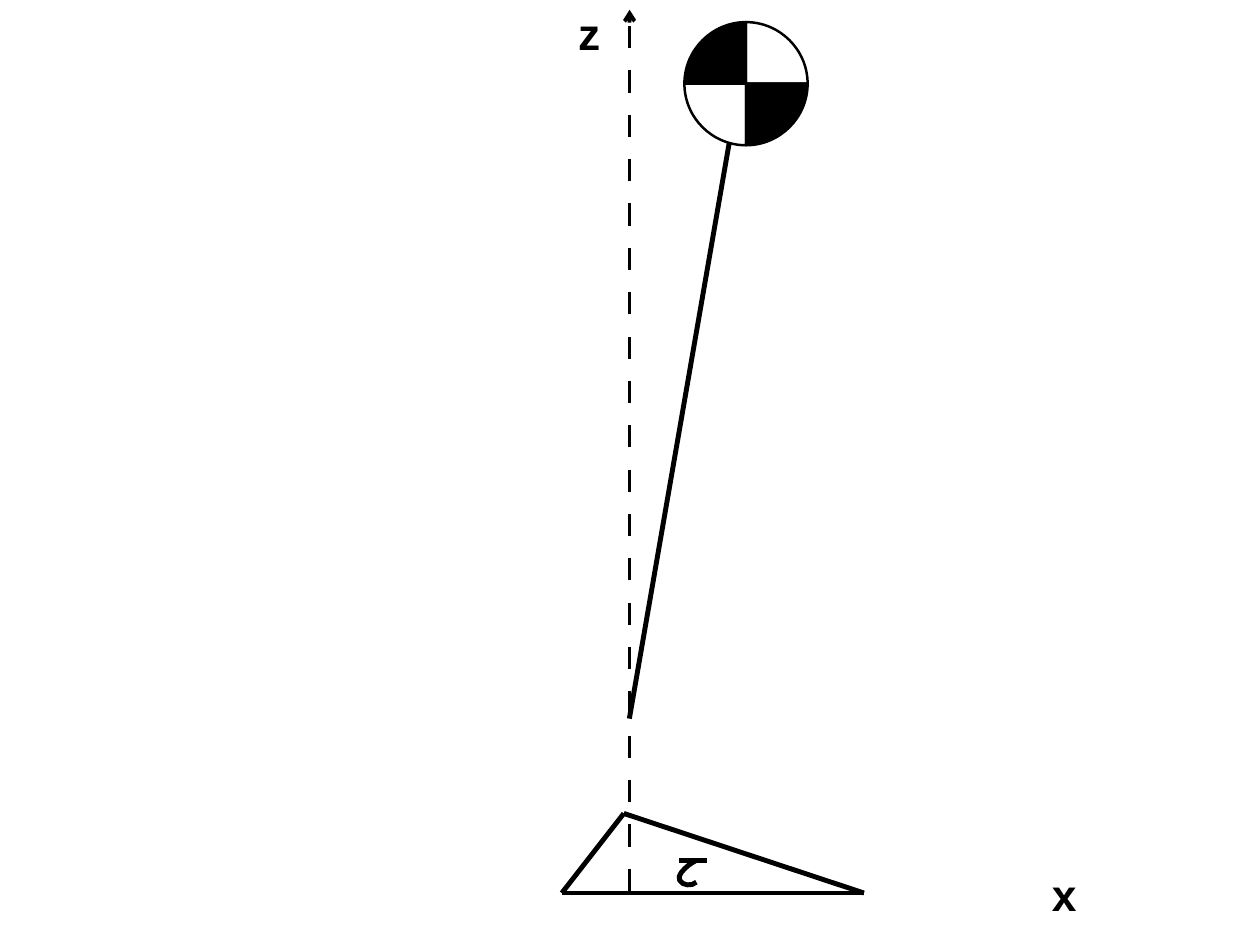
from itertools import pairwise

from lxml.etree import SubElement
from pptx import Presentation
from pptx.dml.color import RGBColor
from pptx.enum.shapes import MSO_CONNECTOR
from pptx.enum.text import MSO_ANCHOR, MSO_AUTO_SIZE, PP_ALIGN
from pptx.oxml.ns import qn
from pptx.util import Inches, Pt

WIDTH, HEIGHT = Inches(14.22), Inches(10.67)
COLOURS = {"ink": "000000"}
WEIGHTS = {"mass": 2, "axis": 3, "body": 4}

AXIS = [(49.97, 94.28), (49.97, 1.03)]
LEG = [(49.95, 76.05), (57.88, 15.09)]
FOOT = [(49.51, 86.08), (44.59, 94.5), (68.57, 94.5), (49.51, 86.08)]
TAU_BAR = [(53.87, 91.04), (56.12, 91.04)]
TAU_HOOK = [
    (55.27, 91.04),
    (54.78, 91.38), (54.43, 91.75), (54.08, 92.31),
    (53.94, 92.6), (53.8, 92.88), (53.94, 93.16),
    (54.15, 93.72), (54.92, 93.81), (55.27, 93.35),
]
MASS = {"centre": (59.21, 8.86), "radius": 4.89}
QUADRANTS = [
    ((1, 0), (0, -1), False),
    ((0, -1), (-1, 0), True),
    ((-1, 0), (0, 1), False),
    ((0, 1), (1, 0), True),
]
ARC_PULL = 0.55
LABELS = [("x", (84.46, 94.61)), ("z", (46.77, 3.51))]
LABEL_SIZE = (2.8, 6.65)
LABEL_FRAME = {
    "word_wrap": False,
    "auto_size": MSO_AUTO_SIZE.SHAPE_TO_FIT_TEXT,
    "vertical_anchor": MSO_ANCHOR.MIDDLE,
    **{f"margin_{side}": Inches(0.06) for side in ("left", "right", "top", "bottom")},
}
LABEL_FONT = {"name": "Arial", "size": Pt(36), "bold": True}


def ink():
    """Return the drawing colour."""
    return RGBColor.from_string(COLOURS["ink"])


def place(point):
    """Turn percentages of the slide into lengths."""
    return round(point[0] * WIDTH / 100), round(point[1] * HEIGHT / 100)


def apply(target, values):
    """Set every attribute named in a dict."""
    for name, value in values.items():
        setattr(target, name, value)


def style_line(shape, weight):
    """Give a shape a solid line of a named weight."""
    shape.line.color.rgb = ink()
    shape.line.width = Pt(WEIGHTS[weight])


def add_lines(group, points, weight="body"):
    """Join successive points with connectors and return the last one."""
    for start, end in pairwise(points):
        connector = group.shapes.add_connector(
            MSO_CONNECTOR.STRAIGHT, *place(start), *place(end))
        style_line(connector, weight)
        SubElement(connector._element.spPr, qn("a:effectLst"))
    return connector


def add_curve(group, points, weight, straight=0, closed=False, filled=False):
    """Draw some straight segments, then cubic curves of three points each."""
    builder = group.shapes.build_freeform(*points[0])
    builder.add_line_segments(points[1:], close=closed)
    shape = builder.convert_to_shape()
    shape.shadow.inherit = False
    style_line(shape, weight)
    if filled:
        shape.fill.solid()
        shape.fill.fore_color.rgb = ink()
    else:
        shape.fill.background()
    segments = list(shape._element.iter(qn("a:lnTo")))[straight:]
    for first, second, third in zip(*[iter(segments)] * 3):
        first.tag = qn("a:cubicBezTo")
        for segment in (second, third):
            first.append(segment[0])
            segment.getparent().remove(segment)


def add_mass(group):
    """Draw the four quadrants of the centre of mass."""
    left, top = place(MASS["centre"])
    radius = MASS["radius"] * WIDTH / 100

    def around(across, down):
        """Return a point given in radii from the centre."""
        return round(left + across * radius), round(top + down * radius)

    for (ax, ay), (bx, by), filled in QUADRANTS:
        points = [
            around(ax, ay), around(0, 0), around(bx, by),
            around(bx + ARC_PULL * ax, by + ARC_PULL * ay),
            around(ax + ARC_PULL * bx, ay + ARC_PULL * by),
            around(ax, ay),
        ]
        add_curve(group, points, "mass", straight=2, closed=True, filled=filled)


def add_axis(group):
    """Draw the dashed vertical axis with its arrowhead."""
    line = add_lines(group, AXIS, "axis").line._get_or_add_ln()
    dashes = SubElement(line, qn("a:custDash"))
    SubElement(dashes, qn("a:ds"), d="600000", sp="600000")
    SubElement(line, qn("a:tailEnd"), type="arrow")


def add_label(slide, text, centre):
    """Write an axis name around its centre."""
    corner = tuple(c - size / 2 for c, size in zip(centre, LABEL_SIZE))
    frame = slide.shapes.add_textbox(*place(corner), *place(LABEL_SIZE)).text_frame
    apply(frame, LABEL_FRAME)
    paragraph = frame.paragraphs[0]
    paragraph.alignment = PP_ALIGN.CENTER
    run = paragraph.add_run()
    run.text = text
    apply(run.font, LABEL_FONT)
    run.font.color.rgb = ink()


presentation = Presentation()
apply(presentation, {"slide_width": WIDTH, "slide_height": HEIGHT})
slide = presentation.slides.add_slide(presentation.slide_layouts[6])

pendulum = slide.shapes.add_group_shape()
add_mass(pendulum)
add_axis(pendulum)
add_lines(pendulum, LEG)

tau = slide.shapes.add_group_shape()
add_lines(tau, TAU_BAR)
add_curve(tau, [place(point) for point in TAU_HOOK], "body")

for text, centre in LABELS:
    add_label(slide, text, centre)

foot = slide.shapes.add_group_shape()
add_lines(foot, FOOT)

presentation.save("out.pptx")
